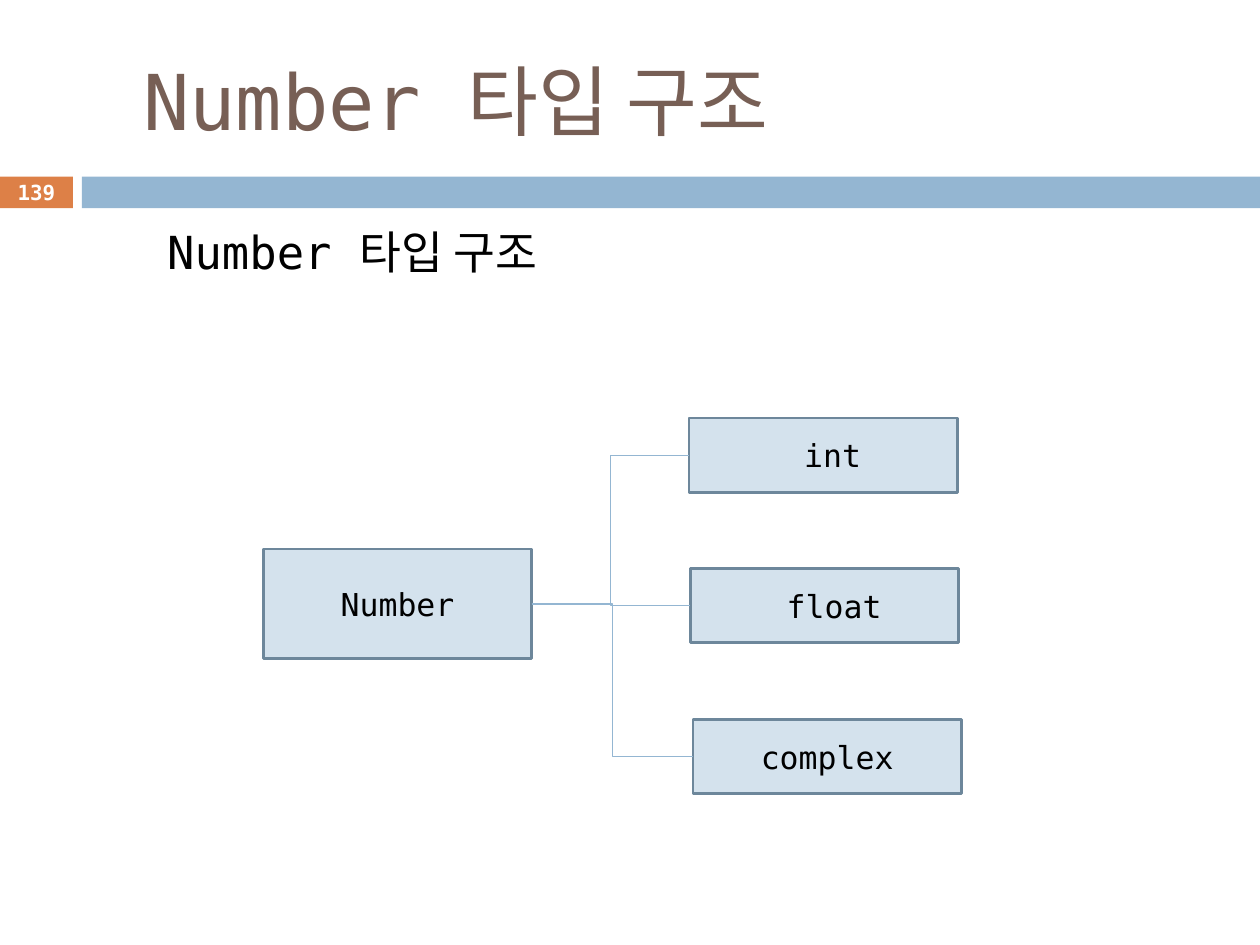
import lxml.etree
import pptx
import pptx.dml.color
import pptx.enum.shapes
import pptx.enum.text
import pptx.oxml.ns
import pptx.util

Cm = pptx.util.Cm
Pt = pptx.util.Pt
RGBColor = pptx.dml.color.RGBColor
MSO_SHAPE = pptx.enum.shapes.MSO_SHAPE
MSO_CONNECTOR = pptx.enum.shapes.MSO_CONNECTOR
MSO_ANCHOR = pptx.enum.text.MSO_ANCHOR
PP_ALIGN = pptx.enum.text.PP_ALIGN

FONT = "DejaVu Sans Mono"
BROWN = RGBColor(0x77, 0x5F, 0x55)
ORANGE = RGBColor(0xDD, 0x80, 0x47)
BLUE = RGBColor(0x94, 0xB6, 0xD2)
PALE_BLUE = RGBColor(0xD4, 0xE2, 0xED)
SLATE = RGBColor(0x6D, 0x87, 0x9B)
BLACK = RGBColor(0, 0, 0)
WHITE = RGBColor(255, 255, 255)


def write_text(shape, text, size, color, alignment, anchor=MSO_ANCHOR.MIDDLE, bold=False):
    text_frame = shape.text_frame
    text_frame.word_wrap = True
    text_frame.vertical_anchor = anchor
    text_frame.text = text
    paragraph = text_frame.paragraphs[0]
    paragraph.alignment = alignment
    font = paragraph.runs[0].font
    font.name = FONT
    font.size = Pt(size)
    font.bold = bold
    font.color.rgb = color


def add_rectangle(left, top, width, height, fill, line=None):
    shape = slide.shapes.add_shape(MSO_SHAPE.RECTANGLE, Cm(left), Cm(top), Cm(width), Cm(height))
    shape.shadow.inherit = False
    shape.fill.solid()
    shape.fill.fore_color.rgb = fill
    if line is None:
        shape.line.fill.background()
    else:
        shape.line.color.rgb = line
        shape.line.width = Pt(1.5)
    return shape


presentation = pptx.Presentation()
presentation.slide_width = Cm(25.4)
presentation.slide_height = Cm(19.05)
slide = presentation.slides.add_slide(presentation.slide_layouts[6])

add_rectangle(0, 3.56, 1.47, 0.64, ORANGE)
add_rectangle(1.65, 3.56, 23.75, 0.64, BLUE)

title = slide.shapes.add_textbox(Cm(1.7), Cm(0.64), Cm(22.66), Cm(2.74))
write_text(title, " Number 타입 구조", 44, BROWN, PP_ALIGN.LEFT)

subtitle = slide.shapes.add_textbox(Cm(1.3), Cm(4.39), Cm(22.86), Cm(2.54))
subtitle.text_frame.margin_left = Cm(1.52)
write_text(subtitle, " Number 타입 구조", 26, BLACK, PP_ALIGN.LEFT, MSO_ANCHOR.TOP)

slide_number = slide.shapes.add_textbox(0, Cm(3.53), Cm(1.47), Cm(0.69))
slide_number.text_frame.margin_left = slide_number.text_frame.margin_right = 0
write_text(slide_number, "139", 11.9, WHITE, PP_ALIGN.CENTER, bold=True)

number_box = add_rectangle(5.31, 11.07, 5.41, 2.21, PALE_BLUE, SLATE)
write_text(number_box, "Number", 18, BLACK, PP_ALIGN.CENTER)

type_boxes = []
for name, left, top in [
    (" int", 13.89, 8.43),
    (" float", 13.92, 11.46),
    ("complex", 13.97, 14.5),
]:
    type_box = add_rectangle(left, top, 5.41, 1.5, PALE_BLUE, SLATE)
    write_text(type_box, name, 18, BLACK, PP_ALIGN.CENTER)
    type_boxes.append(type_box)

for type_box in type_boxes:
    connector = slide.shapes.add_connector(
        MSO_CONNECTOR.ELBOW,
        number_box.left + number_box.width,
        number_box.top + number_box.height // 2,
        type_box.left,
        type_box.top + type_box.height // 2,
    )
    connector.begin_connect(number_box, 3)
    connector.end_connect(type_box, 1)
    connector.line.color.rgb = BLUE
    connector.line.width = Pt(0.79)
    lxml.etree.SubElement(
        connector._element.spPr, pptx.oxml.ns.qn("a:effectLst")
    )

presentation.save("out.pptx")
